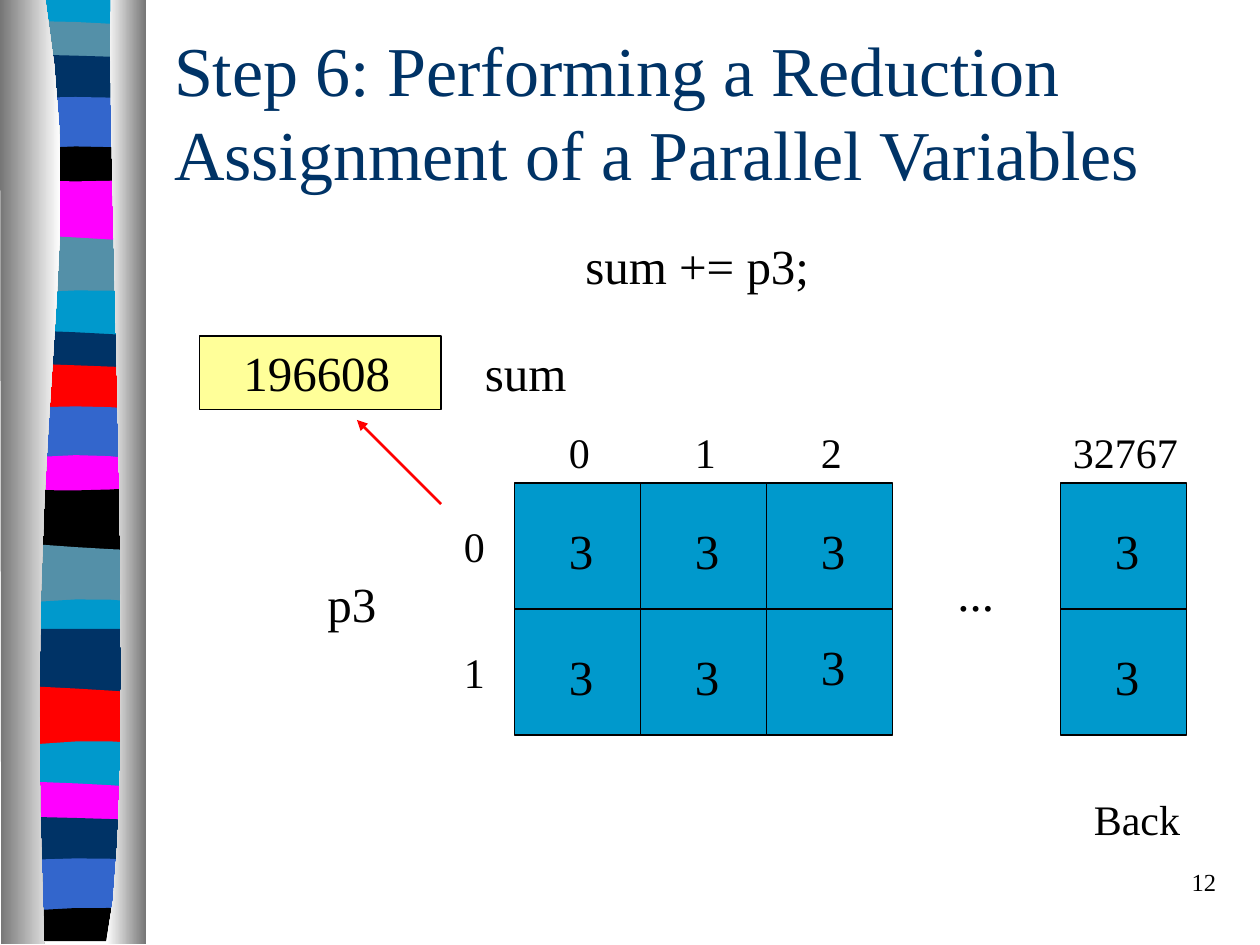
from math import comb

from lxml import etree
from pptx import Presentation
from pptx import util as u
from pptx.dml.color import RGBColor
from pptx.enum import shapes, text
from pptx.oxml import ns

BLACK, NAVY, BLUE, TEAL = "000000", "003366", "0099CC", "5490A8"
PINK, ROYAL, RED, YELLOW = "FF00FF", "3366CC", "FF0000", "FFFF99"
rgb = RGBColor.from_string

presentation = Presentation()
presentation.slide_width, presentation.slide_height = u.Inches(10), u.Inches(7.5)
slide = presentation.slides.add_slide(presentation.slide_layouts[6])

# The layout grid has 120 columns and 90 rows
GRID = presentation.slide_width / 120


def curve(points, steps):
    """Points, in EMU, along the Bezier curve with these control points in inches."""
    degree = len(points) - 1
    result = []
    for step in range(steps + 1):
        t = step / steps
        weights = [comb(degree, i) * t**i * (1 - t)**(degree - i) for i in range(degree + 1)]
        result.append(tuple(u.Inches(sum(w * point[axis] for w, point in zip(weights, points)))
                            for axis in (0, 1)))
    return result


def add_text(words, column, row, width, height=7, size=28, color=BLACK,
             align=text.PP_ALIGN.LEFT, anchor=text.MSO_ANCHOR.TOP):
    box = slide.shapes.add_textbox(*(round(n * GRID) for n in (column, row, width, height)))
    frame = box.text_frame
    frame.word_wrap = True
    frame.vertical_anchor = anchor
    paragraph = frame.paragraphs[0]
    paragraph.text = words
    paragraph.alignment = align
    paragraph.font.name = "Times New Roman"
    paragraph.font.size = u.Pt(size)
    paragraph.font.color.rgb = rgb(color)


# Ribbon bands: colour, then left, middle and right heights of the top edge
bands = [
    (BLUE, 0, 0, 0), (TEAL, 0.17, 0.16, 0.21), (NAVY, 0.43, 0.44, 0.46),
    (ROYAL, 0.79, 0.75, 0.79), (BLACK, 1.2, 1.13, 1.19), (PINK, 1.42, 1.46, 1.42),
    (TEAL, 1.86, 1.88, 1.92), (BLUE, 2.34, 2.28, 2.32), (NAVY, 2.62, 2.63, 2.67),
    (RED, 2.88, 2.9, 2.92), (ROYAL, 3.25, 3.2, 3.25), (PINK, 3.66, 3.57, 3.65),
    (BLACK, 3.88, 3.91, 3.87), (TEAL, 4.3, 4.35, 4.37), (BLUE, 4.81, 4.72, 4.78),
    (NAVY, 4.99, 4.99, 4.99), (RED, 5.44, 5.46, 5.5), (BLUE, 5.94, 5.85, 5.9),
    (PINK, 6.2, 6.21, 6.25), (NAVY, 6.48, 6.49, 6.51), (ROYAL, 6.84, 6.79, 6.83),
    (BLACK, 7.25, 7.18, 7.22),
]
# Each band reaches down to the lowest point of the next one, which covers its end
bottoms = [max(heights) for _, *heights in bands[1:]] + [7.47]
outlines = []
for (color, left, middle, right), bottom in zip(bands, bottoms):
    edge = curve([(0.06, left), (0.6, middle), (1.14, right)], 4)
    outlines.append((edge + curve([(1.14, bottom), (0.06, bottom)], 1), color))

# Shaded columns on both sides of the ribbon
left_column = curve([(0.36, 0), (0.71, 2.16), (0.17, 2.96), (0.35, 7.49)], 12)
left_column += curve([(0.01, 7.49), (0, 0)], 1)
right_column = curve([(0.88, 0), (0.84, 1.25), (1.11, 6.46), (0.84, 7.49)], 12)
right_column += curve([(1.16, 7.49), (1.16, 0)], 1)
outlines += [(left_column, ("767676", "FFFFFF")), (right_column, ("FFFFFF", "767676"))]

for points, paint in outlines:
    builder = slide.shapes.build_freeform(*points[0], scale=1.0)
    builder.add_line_segments(points[1:], close=True)
    shape = builder.convert_to_shape()
    shape.shadow.inherit = False
    shape.line.fill.background()
    if isinstance(paint, str):
        shape.fill.solid()
        shape.fill.fore_color.rgb = rgb(paint)
    else:
        shape.fill.gradient()
        shape.fill.gradient_angle = 0
        for stop, color in zip(shape.fill.gradient_stops, paint):
            stop.color.rgb = rgb(color)

# Title and statement
add_text("Step 6: Performing a Reduction Assignment of a Parallel Variables",
         15.4, 6, 102, 9, 40, NAVY, anchor=text.MSO_ANCHOR.MIDDLE)
add_text("sum += p3;", 15.4, 21.8, 102, align=text.PP_ALIGN.CENTER)

# Boxes of the parallel variable p3 and of sum
CELL = 12
columns = {"0": 49, "1": 61, "2": 73, "32767": 101}
rows = {"0": 46, "1": 58}
boxes = [(column, row, CELL, CELL, BLUE) for column in columns.values() for row in rows.values()]
boxes.append((19, 32, 23, 7, YELLOW))
for *place, color in boxes:
    shape = slide.shapes.add_shape(shapes.MSO_SHAPE.RECTANGLE, *(round(n * GRID) for n in place))
    shape.shadow.inherit = False
    shape.fill.solid()
    shape.fill.fore_color.rgb = rgb(color)
    shape.line.color.rgb = rgb(BLACK)
    shape.line.width = u.Pt(0.75)

# Row and column labels, and cell values
for label, row in rows.items():
    add_text(label, 43, row + 3, 4, 6, 24)
for label, column in columns.items():
    wide = len(label) > 1
    add_text(label, column if wide else column + 4, 40, 13 if wide else 4, 6, 24)
    for row in rows.values():
        raised = (label, row) == ("2", rows["1"])
        add_text("3", column + 4, row + (2 if raised else 3), 5)

# Names, sum and navigation
add_text("...", 90, 53, 6)
add_text("p3", 30, 54, 8)
add_text("196608", 22, 32, 20)
add_text("sum", 45, 32, 12)
add_text("Back", 103, 75, 12, 6, 24)
add_text("12", 92, 82, 25, 6, 14, align=text.PP_ALIGN.RIGHT)

# Arrow from p3 to sum
arrow = slide.shapes.add_connector(shapes.MSO_CONNECTOR.STRAIGHT,
                                   *(round(n * GRID) for n in (42, 48, 34, 40)))
arrow.line.color.rgb = rgb(RED)
arrow.line.width = u.Pt(1.5)
etree.SubElement(arrow.line._get_or_add_ln(), ns.qn("a:tailEnd"), type="triangle")
etree.SubElement(arrow._element.spPr, ns.qn("a:effectLst"))

presentation.save("out.pptx")
